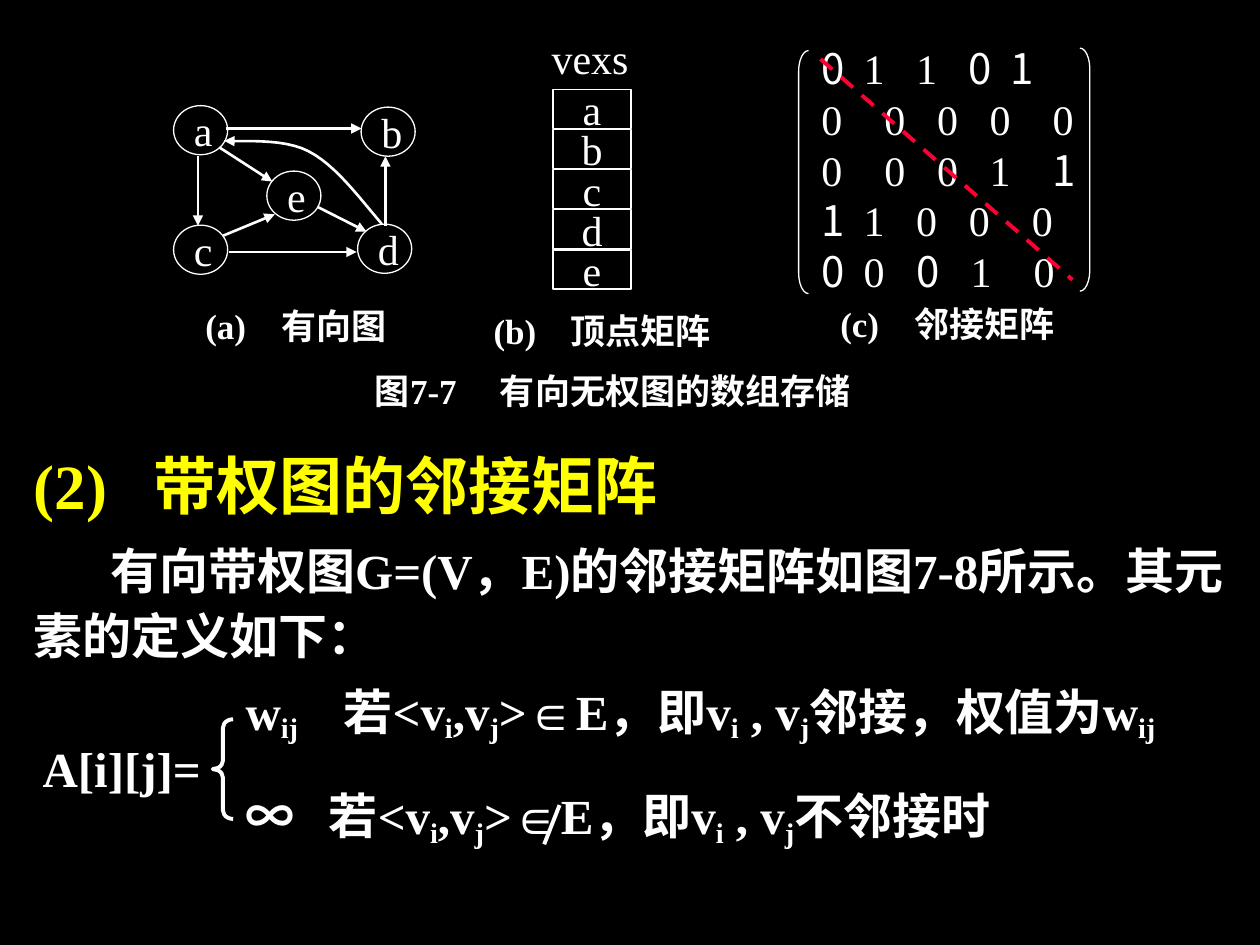
from dataclasses import dataclass

from lxml import etree
from pptx import Presentation
from pptx import util as u
from pptx.dml.color import RGBColor
from pptx.enum import dml, shapes, text
from pptx.oxml.ns import qn

WHITE, YELLOW, RED, BLACK = "FFFFFF", "FFFF00", "FF0033", "000000"
SERIF, SANS, SIGN = "Times New Roman", "Noto Sans CJK SC", "Arial"
KIND = shapes.MSO_SHAPE


@dataclass
class Box:
    left: float
    top: float
    width: float
    height: float

    def lengths(self) -> list:
        return [u.Cm(v) for v in (self.left, self.top, self.width, self.height)]


@dataclass
class Label:
    """Words in a box; |x| switches the font and _x_ lowers the text."""
    words: str
    box: Box
    size: float
    bold: bool = False
    tabs: tuple = ()


@dataclass
class Edge:
    start: tuple
    end: tuple
    width: float = 1.5
    color: str = WHITE
    arrow: bool = True
    dash: bool = False


def rgb(code: str) -> RGBColor:
    return RGBColor.from_string(code)


def write(para, words: str, size: float, bold=False, color=WHITE, tabs=()) -> None:
    props = para._p.get_or_add_pPr()
    if tabs:
        stops = etree.SubElement(props, qn("a:tabLst"))
        for pos in tabs:
            etree.SubElement(stops, qn("a:tab"), pos=str(u.Cm(pos)), algn="l")
    font = para.font
    font.name, font.size, font.bold = SERIF, u.Pt(size), bold
    font.color.rgb = rgb(color)
    for i, chunk in enumerate(words.split("|")):
        for j, part in enumerate(chunk.split("_")):
            if not part:
                continue
            run = para.add_run()
            run.text = part
            if i % 2:
                run.font.name = SIGN if part == "∈" else SANS
            if j % 2:
                run._r.get_or_add_rPr().set("baseline", "-18000")


def add_label(slide, label: Label) -> None:
    frame = slide.shapes.add_textbox(*label.box.lengths()).text_frame
    frame.word_wrap = False
    frame.margin_right = 0
    frame.vertical_anchor = text.MSO_ANCHOR.MIDDLE
    write(frame.paragraphs[0], label.words, label.size, label.bold, tabs=label.tabs)


def add_shape(slide, kind, box: Box, width=0.75, words="", align=text.PP_ALIGN.LEFT):
    shape = slide.shapes.add_shape(kind, *box.lengths())
    shape.shadow.inherit = False
    shape.fill.background()
    shape.line.color.rgb = rgb(WHITE)
    shape.line.width = u.Pt(width)
    if words:
        frame = shape.text_frame
        frame.word_wrap = False
        frame.vertical_anchor = text.MSO_ANCHOR.MIDDLE
        frame.paragraphs[0].alignment = align
        write(frame.paragraphs[0], words, 24)
    return shape


def add_head(line) -> None:
    etree.SubElement(line._get_or_add_ln(), qn("a:tailEnd"), type="triangle")


def add_edge(slide, edge: Edge) -> None:
    ends = [u.Cm(v) for v in edge.start + edge.end]
    link = slide.shapes.add_connector(shapes.MSO_CONNECTOR.STRAIGHT, *ends)
    link.line.color.rgb = rgb(edge.color)
    link.line.width = u.Pt(edge.width)
    if edge.dash:
        link.line.dash_style = dml.MSO_LINE.DASH
    if edge.arrow:
        add_head(link.line)
    etree.SubElement(link._element.spPr, qn("a:effectLst"))


def bezier(p: list, steps: int = 12) -> list:
    """Points along a cubic curve, after its start."""
    points = []
    for k in range(1, steps + 1):
        t = k / steps
        mix = ((1 - t) ** 3, 3 * t * (1 - t) ** 2, 3 * t * t * (1 - t), t ** 3)
        points.append(tuple(u.Cm(sum(m * q[a] for m, q in zip(mix, p)))
                            for a in (0, 1)))
    return points


def add_curve(slide, knots: list) -> None:
    start = [u.Cm(v) for v in knots[0]]
    pen = slide.shapes.build_freeform(*start)
    pen.add_line_segments(bezier(knots[:4]) + bezier(knots[3:]), close=False)
    curve = pen.convert_to_shape()
    curve.shadow.inherit = False
    curve.fill.background()
    curve.line.color.rgb = rgb(WHITE)
    curve.line.width = u.Pt(1.5)
    add_head(curve.line)


NODES = {"a": (3.5, 2.13), "c": (3.5, 4.54), "b": (7.28, 2.16),
         "d": (7.21, 4.52), "e": (5.38, 3.45)}
EDGES = [
    Edge((3.99, 3.15), (3.99, 4.55)),
    Edge((7.77, 4.55), (7.77, 3.15)),
    Edge((4.55, 2.59), (7.29, 2.59)),
    Edge((4.42, 2.97), (5.49, 3.66)),
    Edge((4.62, 5.08), (7.19, 5.08)),
    Edge((6.4, 4.17), (7.39, 4.67)),
    Edge((4.5, 4.75), (5.54, 4.32)),
]
BEND = [(7.7, 4.52), (7.21, 3.94), (6.76, 3.33), (6.22, 3.05),
        (5.69, 2.77), (4.8, 2.87), (4.52, 2.84)]
LABELS = [
    Label("(a)\t有向图", Box(3.89, 6.12, 4.1, 0.89), 20, True, (1.53,)),
    Label("(b)\t顶点矩阵", Box(9.7, 6.22, 4.9, 0.89), 20, True, (1.55,)),
    Label("(c)\t邻接矩阵", Box(16.69, 6.07, 4.9, 0.89), 20, True, (1.5,)),
    Label("图7-7\t有向无权图的数组存储", Box(7.31, 7.42, 10, 0.89), 20, True, (2.52,)),
    Label("vexs", Box(10.87, 0.71, 2.1, 0.89), 24),
    Label("A[i][j]=", Box(0.61, 14.88, 3.65, 1.19), 28, True),
    Label("w_ij_\t若<v_i_,v_j_>|∈|E，即v_i_ , v_j_邻接，权值为w_ij_",
          Box(4.7, 13.72, 20.3, 1.3), 28, True, (1.98,)),
    Label("|∞|\t若<v_i_,v_j_>|∈|E，即v_i_ , v_j_不邻接时",
          Box(4.7, 15.82, 16.6, 1.3), 28, True, (1.68,)),
]
MATRIX = [
    ("|0|\t1\t1\t|0|\t|1|", (0.85, 1.91, 2.97, 3.81)),
    ("0\t0\t0\t0\t0", (1.27, 2.33, 3.39, 4.66)),
    ("0\t0\t0\t1\t|1|", (1.27, 2.33, 3.39, 4.66)),
    ("|1|\t1\t0\t0\t0", (0.85, 1.91, 2.97, 4.24)),
    ("|0|\t0\t|0|\t1\t0", (0.85, 1.91, 3.01, 4.28)),
]


def main() -> None:
    deck = Presentation()
    deck.slide_width, deck.slide_height = u.Cm(25.4), u.Cm(19.05)
    slide = deck.slides.add_slide(deck.slide_layouts[5])
    slide.background.fill.solid()
    slide.background.fill.fore_color.rgb = rgb(BLACK)

    # Heading
    title = slide.shapes.title
    title.left, title.top, title.width, title.height = Box(0.43, 8.72, 24.49, 1.93).lengths()
    frame = title.text_frame
    frame.auto_size = text.MSO_AUTO_SIZE.NONE
    frame.vertical_anchor = text.MSO_ANCHOR.TOP
    head = frame.paragraphs[0]
    head.alignment, head.line_spacing = text.PP_ALIGN.LEFT, 1.1
    write(head, "(2)\t带权图的邻接矩阵", 36, True, YELLOW, (2.42,))

    # Introduction
    frame = slide.shapes.add_textbox(*Box(0.43, 10.65, 24.49, 2.87).lengths()).text_frame
    frame.word_wrap = True
    intro = frame.paragraphs[0]
    intro.line_spacing = 1.1
    intro._p.get_or_add_pPr().set("indent", str(u.Cm(1.55)))
    write(intro, "有向带权图G=(V，E)的邻接矩阵如图7-8所示。其元素的定义如下：", 28, True)

    # Directed graph
    for name, (left, top) in NODES.items():
        add_shape(slide, KIND.OVAL, Box(left, top, 1.09, 0.99), words=name)
    for edge in EDGES:
        add_edge(slide, edge)
    add_curve(slide, BEND)

    # Vertex list
    for i, name in enumerate("abcde"):
        add_shape(slide, KIND.RECTANGLE, Box(11.15, 1.8 + 0.81 * i, 1.57, 0.79),
                  words=name, align=text.PP_ALIGN.CENTER)

    # Adjacency matrix with its diagonal
    for i, (row, tabs) in enumerate(MATRIX):
        add_label(slide, Label(row, Box(16.31, 0.93 + 1.02 * i, 5.7, 0.89), 24, tabs=tabs))
    for kind, left, top in ((KIND.LEFT_BRACKET, 16.1, 1.02),
                            (KIND.RIGHT_BRACKET, 21.77, 0.97)):
        add_shape(slide, kind, Box(left, top, 0.2, 4.9)).adjustments[0] = 2.1
    add_edge(slide, Edge((16.54, 1.19), (21.62, 5.64), 2.25, RED, arrow=False, dash=True))

    # Captions and definition by cases
    for label in LABELS:
        add_label(slide, label)
    brace = add_shape(slide, KIND.LEFT_BRACE, Box(4.29, 14.5, 0.41, 2.01), 2.25)
    brace.adjustments[0] = 0.42
    add_edge(slide, Edge((11.28, 16.23), (10.97, 17.02), 2.25, arrow=False))

    deck.save("out.pptx")


if __name__ == "__main__":
    main()
